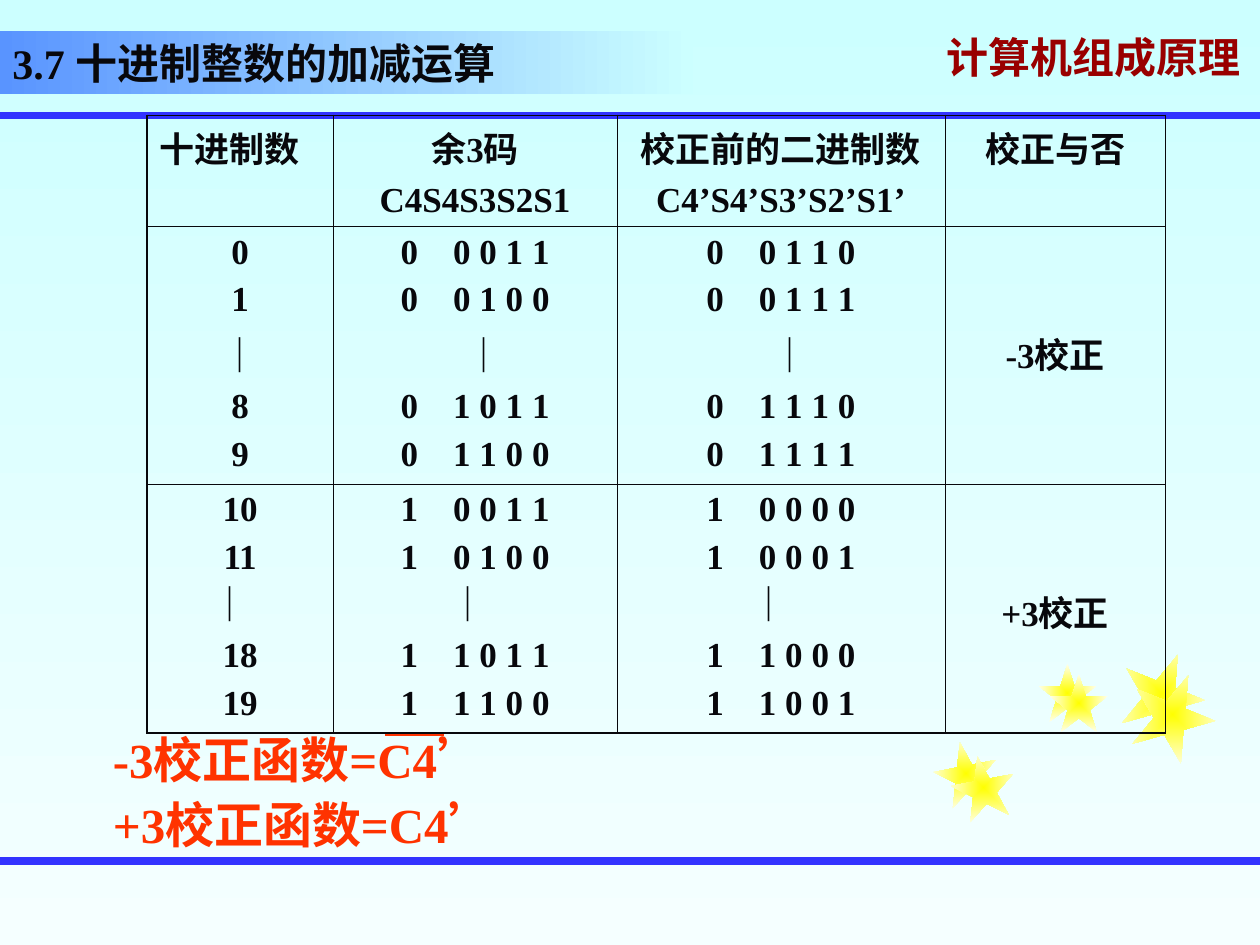
from dataclasses import dataclass

from lxml.etree import SubElement
from pptx import Presentation
from pptx.dml.color import RGBColor as RGB
from pptx.enum.shapes import MSO_CONNECTOR, MSO_SHAPE
from pptx.enum.text import MSO_ANCHOR as ANCHOR, PP_ALIGN as ALIGN
from pptx.oxml import parse_xml
from pptx.oxml.ns import nsdecls, qn
from pptx.util import Pt


@dataclass
class Theme:
    ink: str = "08080C"
    rule: str = "3333FF"
    course: str = "990000"
    formula: str = "FF3300"
    sky: tuple = ("CCFFFF", "F5FFFF")
    band: tuple = ("5994FF", "CCFFFF")
    star: tuple = ("FFFF00", "FFFFE9")
    latin: str = "Times New Roman"
    cjk: str = "Noto Sans CJK SC"
    heading: int = 24
    cell: int = 20
    note: int = 28


T = Theme()


def gradient(fill, colors, angle=0):
    fill.gradient()
    fill.gradient_angle = angle
    for stop, color, place in zip(fill.gradient_stops, colors, (0, 1)):
        stop.color.rgb = RGB.from_string(color)
        stop.position = place


def write(p, text, size, color, latin=T.latin, spacing=0):
    r = p.add_run()
    r.text = text
    for name, value in {"size": Pt(size), "bold": True, "name": latin}.items():
        setattr(r.font, name, value)
    r.font.color.rgb = RGB.from_string(color)
    rpr = r.font._element
    SubElement(rpr, qn("a:ea")).set("typeface", T.cjk)
    if spacing:
        rpr.set("spc", str(int(spacing * 100)))
    return r


prs = Presentation()
prs.slide_width, prs.slide_height = Pt(720), Pt(540)
s = prs.slides.add_slide(prs.slide_layouts[6])
gradient(s.background.fill, T.sky, 270)

# Course name with a soft text shadow
sp = s.shapes.add_textbox(Pt(534), Pt(18), Pt(186), Pt(36))
tf = sp.text_frame
tf.word_wrap, tf.vertical_anchor = True, ANCHOR.MIDDLE
p = tf.paragraphs[0]
p.line_spacing = 0.7
r = write(p, "计算机组成原理", T.heading, T.course, T.cjk)
r.font._element.find(qn("a:solidFill")).addnext(parse_xml(
    f'<a:effectLst {nsdecls("a")}><a:outerShdw dist="25400" dir="2700000">'
    '<a:srgbClr val="808080"/></a:outerShdw></a:effectLst>'))

# Stars: three overlapping pairs
star_points = [(0, .38), (.38, .38), (.5, 0), (.62, .38), (1, .38),
               (.69, .62), (.81, 1), (.5, .76), (.19, 1), (.31, .62)]
star_pairs = [(534, 424, 36, 349, (10, 8)),
              (593.5, 379.5, 33, 0, (6.5, 5.8)),
              (640, 372.5, 48, 22, (6, 11.8))]
for step in (0, 1):
    for left, top, size, turn, (dx, dy) in star_pairs:
        points = [(Pt(left + step * dx + x * size), Pt(top + step * dy + y * size))
                  for x, y in star_points]
        outline = s.shapes.build_freeform(*points[0])
        outline.add_line_segments(points[1:], close=True)
        sp = outline.convert_to_shape()
        sp.rotation = turn
        sp.shadow.inherit = False
        sp.line.fill.background()
        gradient(sp.fill, T.star)
        lin = sp._element.spPr.find(".//" + qn("a:lin"))
        lin.addnext(parse_xml(
            f'<a:path {nsdecls("a")} path="rect"><a:fillToRect l="50000" t="50000" '
            'r="50000" b="50000"/></a:path>'))
        lin.getparent().remove(lin)

# Section title band
sp = s.shapes.add_shape(MSO_SHAPE.RECTANGLE, 0, Pt(18), Pt(396), Pt(36))
sp.shadow.inherit = False
sp.line.fill.background()
gradient(sp.fill, T.band)
tf = sp.text_frame
tf.word_wrap, tf.vertical_anchor = True, ANCHOR.BOTTOM
p = tf.paragraphs[0]
p.alignment = ALIGN.LEFT
write(p, "3.7 ", T.heading, T.ink)
write(p, "十进制整数的加减运算", T.heading, T.ink, T.cjk)

# Rules across the slide, and the bar over C4’
for x1, x2, y, color, width in [(0, 720, 66, T.rule, 4.5),
                                (0, 720, 492, T.rule, 4.5),
                                (220, 253.5, 420, T.formula, 1.5)]:
    line = s.shapes.add_connector(MSO_CONNECTOR.STRAIGHT, Pt(x1), Pt(y), Pt(x2), Pt(y))
    line.line.color.rgb = RGB.from_string(color)
    line.line.width = Pt(width)
    SubElement(line._element.spPr, qn("a:effectLst"))

# Excess-3 correction table
BAR = "｜"
rows = [
    [["十进制数"], ["余3码", "C4S4S3S2S1"],
     ["校正前的二进制数", "C4’S4’S3’S2’S1’"], ["校正与否"]],
    [["0", "1", BAR, "8", "9"],
     ["0 0 0 1 1", "0 0 1 0 0", BAR, "0 1 0 1 1", "0 1 1 0 0"],
     ["0 0 1 1 0", "0 0 1 1 1", BAR, "0 1 1 1 0", "0 1 1 1 1"], ["-3校正"]],
    [["10", "11", BAR, "18", "19"],
     ["1 0 0 1 1", "1 0 1 0 0", BAR, "1 1 0 1 1", "1 1 1 0 0"],
     ["1 0 0 0 0", "1 0 0 0 1", BAR, "1 1 0 0 0", "1 1 0 0 1"], ["+3校正"]],
]
col_widths, row_heights = [106.5, 162, 187.5, 126], [63.4, 147.4, 142.2]
bar_indents = {1: (0, 10, 10), 2: (30, 60, 70)}
table = s.shapes.add_table(3, 4, Pt(84), Pt(66), Pt(sum(col_widths)),
                           Pt(sum(row_heights))).table
table.first_row = table.horz_banding = False
for col, width in zip(table.columns, col_widths):
    col.width = Pt(width)
for row, height in zip(table.rows, row_heights):
    row.height = Pt(height)

for i, row in enumerate(rows):
    for j, lines in enumerate(row):
        cell = table.cell(i, j)
        if i and j == 3:
            cell.margin_top = Pt(58)
        tf = cell.text_frame
        for k, text in enumerate(lines):
            p = tf.paragraphs[0] if k == 0 else tf.add_paragraph()
            left = text == BAR and i == 2 or i == j == 0
            p.alignment = ALIGN.LEFT if left else ALIGN.CENTER
            if k and not left:
                p.space_before = Pt(5)
            if text == BAR:
                p._p.get_or_add_pPr().set("marL", str(Pt(bar_indents[i][j])))
            if " " in text:
                # The carry digit stands apart from the four sum digits
                write(p, text[:2], T.cell, T.ink, spacing=7.5)
                text = text[2:]
            write(p, text, T.cell, T.ink)
        edges = {"L": j == 0, "R": j == 3, "T": i == 0, "B": i == 2}
        tcpr = cell._tc.get_or_add_tcPr()
        for side, outer in edges.items():
            tcpr.append(parse_xml(
                f'<a:ln{side} {nsdecls("a")} w="{Pt(1.08 if outer else 0.45)}"><a:solidFill>'
                f'<a:srgbClr val="{T.ink}"/></a:solidFill></a:ln{side}>'))
        cell.fill.background()

# Correction functions
tf = s.shapes.add_textbox(Pt(57.5), Pt(417), Pt(612), Pt(78)).text_frame
tf.word_wrap = True
for k, text in enumerate(["-3校正函数=C4’", "+3校正函数=C4’"]):
    p = tf.paragraphs[0] if k == 0 else tf.add_paragraph()
    p.line_spacing = 0.9
    if k:
        p.space_before = Pt(7)
    write(p, text, T.note, T.formula)

prs.save("out.pptx")
